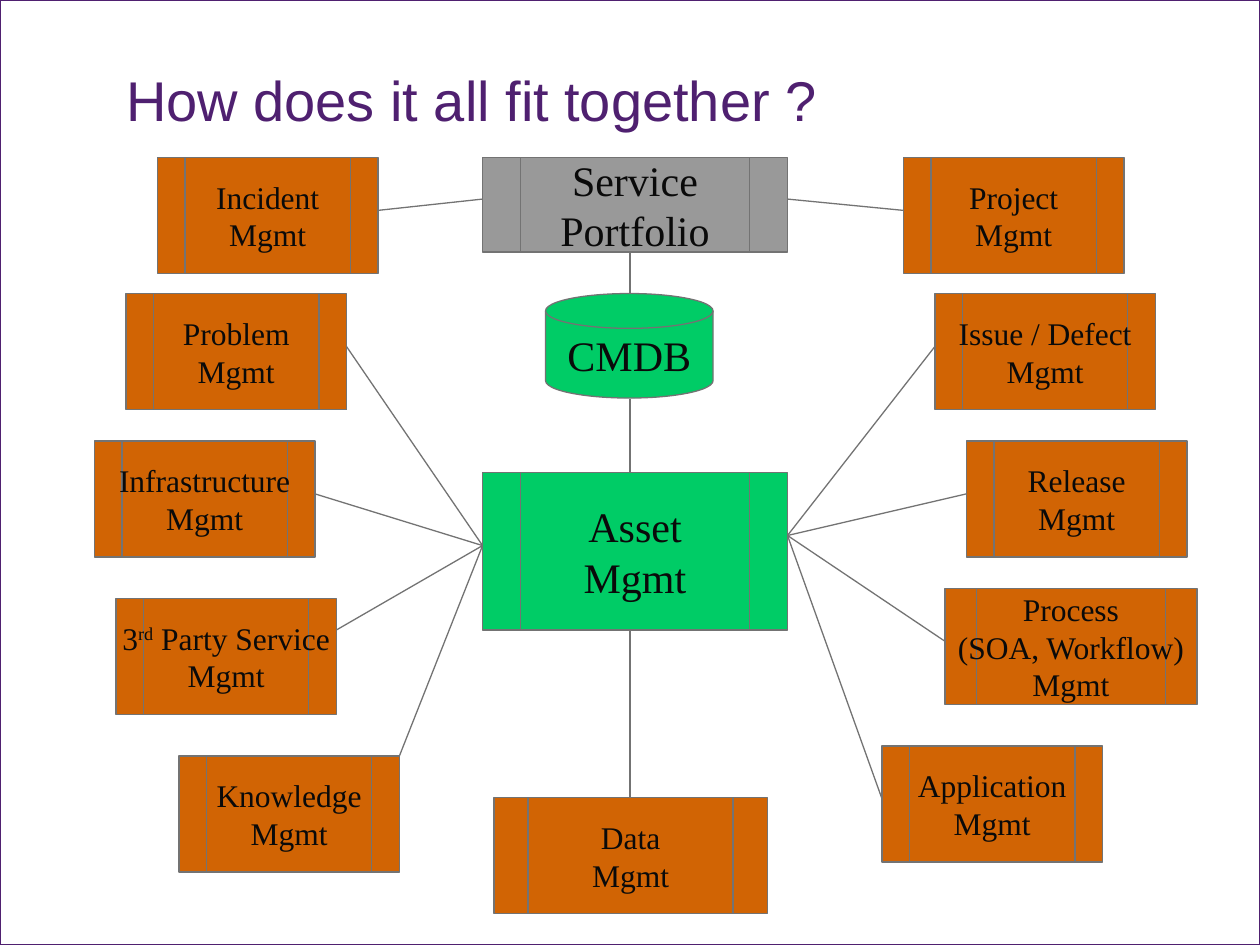
from pptx import Presentation
from pptx import util as u
from pptx.dml.color import RGBColor
from pptx.enum import shapes, text
from pptx.oxml.ns import qn
from lxml import etree

COLORS = {"purple": "4F2070", "orange": "D16404", "green": "00CC66",
          "gray": "999999", "line": "737373", "ink": "0A0A0A"}
TITLE = "How does it all fit together ?"
PROCESS = shapes.MSO_SHAPE.FLOWCHART_PREDEFINED_PROCESS
DISK = shapes.MSO_SHAPE.FLOWCHART_MAGNETIC_DISK

CORE = [
    ("CMDB", 4.33, 2.33, 1.33, 0.83, DISK, "green"),
    ("Service\nPortfolio", 3.83, 1.25, 2.42, 0.75, PROCESS, "gray"),
    ("Asset\nMgmt", 3.83, 3.75, 2.42, 1.25, PROCESS, "green"),
]
DISCIPLINE_WIDTH, DISCIPLINE_HEIGHT = 1.75, 0.92
PORTFOLIO_LEFT, PORTFOLIO_RIGHT = (3.83, 1.58), (6.25, 1.58)
ASSET_LEFT, ASSET_RIGHT = (3.83, 4.33), (6.25, 4.25)
LEFT_DISCIPLINES = [
    ("Incident\nMgmt", 1.25, 1.25, 0.42, PORTFOLIO_LEFT),
    ("Problem\nMgmt", 1, 2.33, 0.42, ASSET_LEFT),
    ("Infrastructure\nMgmt", 0.75, 3.5, 0.42, ASSET_LEFT),
    ("3^rd^ Party Service\nMgmt", 0.92, 4.75, 0.25, ASSET_LEFT),
    ("Knowledge\nMgmt", 1.42, 6, 0, ASSET_LEFT),
]
RIGHT_DISCIPLINES = [
    ("Project\nMgmt", 7.17, 1.25, DISCIPLINE_WIDTH, PORTFOLIO_RIGHT),
    ("Issue / Defect\nMgmt", 7.42, 2.33, DISCIPLINE_WIDTH, ASSET_RIGHT),
    ("Release\nMgmt", 7.67, 3.5, DISCIPLINE_WIDTH, ASSET_RIGHT),
    ("Process\n(SOA, Workflow)\nMgmt", 7.5, 4.67, 2, ASSET_RIGHT),
    ("Application\nMgmt", 7, 5.92, DISCIPLINE_WIDTH, ASSET_RIGHT),
]
DATA = ("Data\nMgmt", 3.92, 6.33, 2.17)
SPINE_X = 5
SPINE = [(2, 2.33), (3.17, 3.75), (5, 6.33)]


def rgb(name):
    return RGBColor.from_string(COLORS[name])


def inches(*lengths):
    return [u.Inches(length) for length in lengths]


def style_font(font, name, size, color):
    font.name, font.size = name, u.Pt(size)
    font.color.rgb = rgb(color)


def style_line(line, color):
    line.color.rgb = rgb(color)
    line.width = u.Pt(0.75)


def add_node(slide, label, left, top, width, height, kind=PROCESS, fill="orange", size=18):
    node = slide.shapes.add_shape(kind, *inches(left, top, width, height))
    node.shadow.inherit = False
    node.fill.solid()
    node.fill.fore_color.rgb = rgb(fill)
    style_line(node.line, "line")
    frame = node.text_frame
    frame.word_wrap = False
    frame.vertical_anchor = text.MSO_ANCHOR.MIDDLE
    for index, words in enumerate(label.split("\n")):
        paragraph = frame.paragraphs[0] if index == 0 else frame.add_paragraph()
        paragraph.alignment = text.PP_ALIGN.CENTER
        for part, piece in enumerate(words.split("^")):
            run = paragraph.add_run()
            run.text = piece
            style_font(run.font, "Times New Roman", size, "ink")
            if part % 2:
                run.font._element.set("baseline", "30000")


def add_link(slide, start, end):
    link = slide.shapes.add_connector(shapes.MSO_CONNECTOR.STRAIGHT, *inches(*start, *end))
    style_line(link.line, "line")
    etree.SubElement(link._element.spPr, qn("a:effectLst"))


def add_title(slide):
    title = slide.shapes.title
    title.left, title.top, title.width, title.height = inches(1, 0.58, 8.33, 0.67)
    frame = title.text_frame
    frame.text = TITLE
    frame.word_wrap = True
    frame.auto_size = text.MSO_AUTO_SIZE.NONE
    frame.vertical_anchor = text.MSO_ANCHOR.TOP
    frame.margin_left = frame.margin_right = frame.margin_top = frame.margin_bottom = 0
    heading = frame.paragraphs[0]
    heading.alignment = text.PP_ALIGN.LEFT
    heading.line_spacing = 0.9
    style_font(heading.runs[0].font, "Arial", 32, "purple")


def main():
    """Build the service management overview slide."""
    deck = Presentation()
    deck.slide_width, deck.slide_height = inches(10, 7.5)
    slide = deck.slides.add_slide(deck.slide_layouts[5])
    border = slide.shapes.add_shape(shapes.MSO_SHAPE.RECTANGLE, 0, 0, *inches(10, 7.5))
    border.shadow.inherit = False
    border.fill.background()
    style_line(border.line, "purple")
    add_title(slide)

    for label, left, top, width, height, kind, fill in CORE:
        add_node(slide, label, left, top, width, height, kind, fill, 24)
    add_node(slide, *DATA, DISCIPLINE_HEIGHT)
    for label, left, top, drop, hub in LEFT_DISCIPLINES:
        add_node(slide, label, left, top, DISCIPLINE_WIDTH, DISCIPLINE_HEIGHT)
        add_link(slide, (left + DISCIPLINE_WIDTH, top + drop), hub)
    for label, left, top, width, hub in RIGHT_DISCIPLINES:
        add_node(slide, label, left, top, width, DISCIPLINE_HEIGHT)
        add_link(slide, (left, top + 0.42), hub)
    for start, end in SPINE:
        add_link(slide, (SPINE_X, start), (SPINE_X, end))
    deck.save("out.pptx")


if __name__ == "__main__":
    main()
